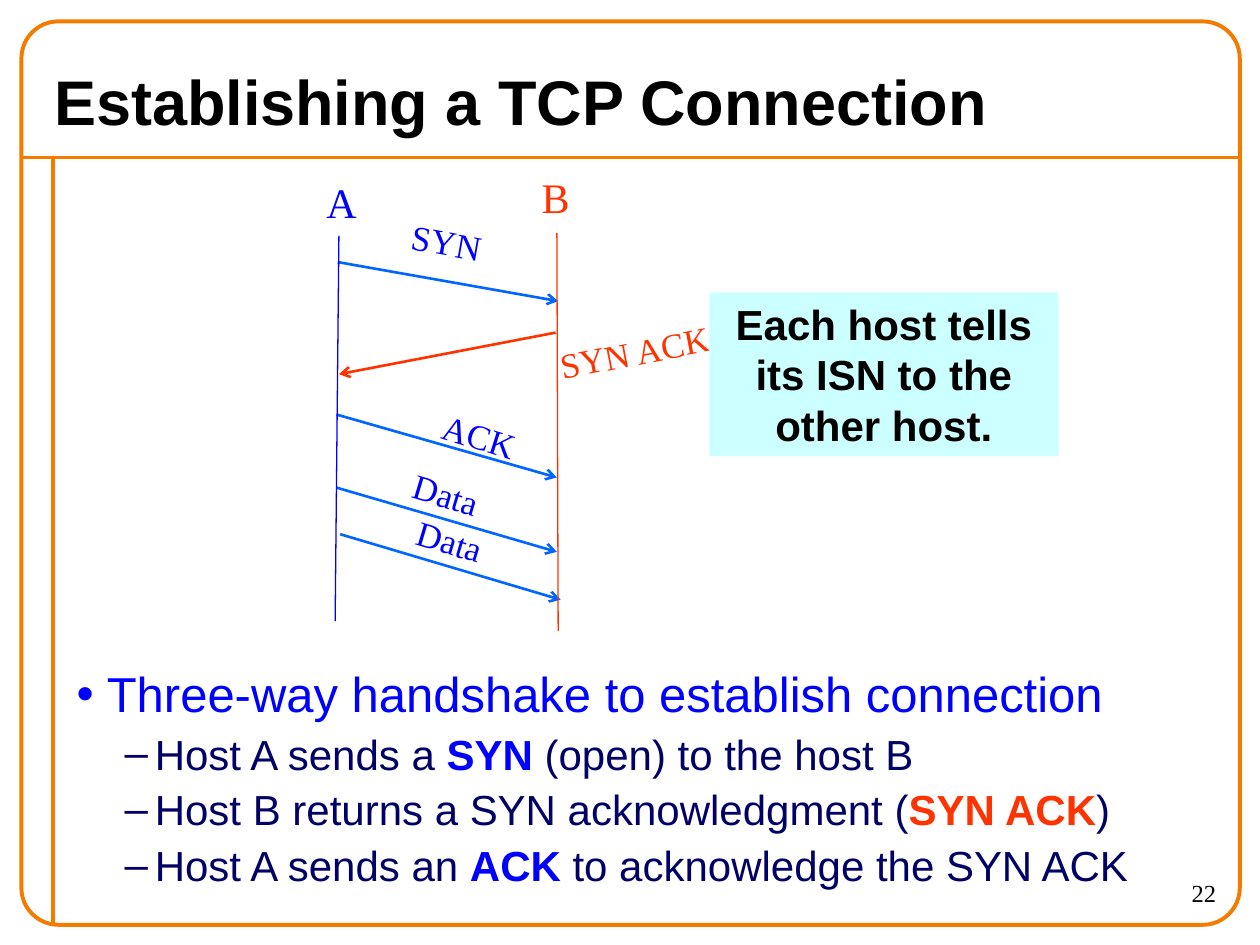
"""Build a slide on the three-way handshake that opens a TCP connection."""
from dataclasses import dataclass

from lxml.etree import SubElement
from pptx import Presentation
from pptx.dml.color import RGBColor
from pptx.enum.shapes import MSO_CONNECTOR, MSO_SHAPE
from pptx.enum.text import MSO_ANCHOR, PP_ALIGN
from pptx.oxml.ns import qn
from pptx.util import Inches, Pt

ORANGE = RGBColor(0xF4, 0x7A, 0x00)
BLUE = RGBColor(0x00, 0x00, 0xFF)
SKY = RGBColor(0x00, 0x66, 0xFF)
RED = RGBColor(0xFF, 0x33, 0x00)
NAVY = RGBColor(0x00, 0x00, 0x66)
BLACK = RGBColor(0x00, 0x00, 0x00)
PALE_CYAN = RGBColor(0xCC, 0xFF, 0xFF)
SANS = "Arial"
SERIF = "Times New Roman"


@dataclass
class Line:
    start: tuple[float, float]
    end: tuple[float, float]
    color: RGBColor
    width: float
    arrow: bool = False


@dataclass
class Label:
    text: str
    box: tuple[float, float, float, float]
    color: RGBColor
    size: int = 20
    rotation: float = 0


@dataclass
class Run:
    text: str
    color: RGBColor = NAVY
    bold: bool = False


@dataclass
class Bullet:
    runs: list[Run]
    level: int = 1


FRAME_LINES = [
    Line((0.17, 1.25), (9.83, 1.25), ORANGE, 2.25),
    Line((0.42, 1.25), (0.42, 7.33), ORANGE, 2.25),
]
DIAGRAM_LINES = [
    Line((2.68, 2.08), (4.43, 2.39), SKY, 1.5, True),
    Line((4.41, 2.64), (2.69, 2.97), RED, 1.5, True),
    Line((2.67, 3.29), (4.42, 3.79), SKY, 1.5, True),
    Line((2.67, 3.87), (4.42, 4.38), SKY, 1.5, True),
    Line((2.7, 4.24), (4.45, 4.76), SKY, 1.5, True),
    Line((4.42, 1.85), (4.43, 5.01), RED, 0.75),
    Line((2.69, 1.87), (2.66, 4.93), BLUE, 0.75),
]
LABELS = [
    Label("A", (2.49, 1.35, 0.44, 0.5), BLUE, 24),
    Label("B", (4.2, 1.31, 0.42, 0.5), RED, 24),
    Label("SYN", (3.17, 1.7, 0.75, 0.44), BLUE, rotation=10.1),
    Label("SYN ACK", (4.32, 2.57, 1.43, 0.44), RED, rotation=-10.9),
    Label("ACK", (3.41, 3.24, 0.79, 0.44), BLUE, rotation=17.4),
    Label("Data", (3.18, 3.7, 0.72, 0.44), BLUE, rotation=16.7),
    Label("Data", (3.21, 4.07, 0.72, 0.44), BLUE, rotation=16.7),
]
BULLETS = [
    Bullet([Run("Three-way handshake to establish connection", BLUE)], 0),
    Bullet([Run("Host A sends a "), Run("SYN", BLUE, True), Run(" (open) to the host B")]),
    Bullet([Run("Host B returns a SYN acknowledgment ("), Run("SYN ACK", RED, True), Run(")")]),
    Bullet([Run("Host A sends an "), Run("ACK", BLUE, True), Run(" to acknowledge the SYN ACK")]),
]


def inches(values: tuple[float, ...]) -> list[Inches]:
    return [Inches(value) for value in values]


def add_run(paragraph, content: Run, size: int, font_name: str) -> None:
    run = paragraph.add_run()
    run.text = content.text
    run.font.name = font_name
    run.font.size = Pt(size)
    run.font.bold = content.bold
    run.font.color.rgb = content.color


def write(shape, content: Run, size: int, font_name: str, alignment: PP_ALIGN) -> None:
    paragraph = shape.text_frame.paragraphs[0]
    paragraph.alignment = alignment
    add_run(paragraph, content, size, font_name)


def add_line(slide, line: Line) -> None:
    connector = slide.shapes.add_connector(
        MSO_CONNECTOR.STRAIGHT, *inches(line.start + line.end)
    )
    connector.line.color.rgb = line.color
    connector.line.width = Pt(line.width)
    if line.arrow:
        SubElement(connector.line._get_or_add_ln(), qn("a:tailEnd"), type="arrow")
    SubElement(connector._element.spPr, qn("a:effectLst"))


def add_label(slide, label: Label) -> None:
    shape = slide.shapes.add_textbox(*inches(label.box))
    shape.rotation = label.rotation
    frame = shape.text_frame
    frame.word_wrap = False
    frame.margin_left = frame.margin_right = 0
    frame.vertical_anchor = MSO_ANCHOR.MIDDLE
    write(shape, Run(label.text, label.color), label.size, SERIF, PP_ALIGN.CENTER)


def add_bullets(slide, bullets: list[Bullet]) -> None:
    frame = slide.shapes.add_textbox(*inches((0.51, 5.22, 9.25, 2.12))).text_frame
    frame.word_wrap = True
    for index, bullet in enumerate(bullets):
        paragraph = frame.add_paragraph() if index else frame.paragraphs[0]
        paragraph.level = bullet.level
        if index:
            paragraph.space_before = Pt(3)
        properties = paragraph._p.get_or_add_pPr()
        properties.set("marL", str(Inches(0.62 if bullet.level else 0.24)))
        properties.set("indent", str(Inches(-0.24)))
        bullet_color = SubElement(properties, qn("a:buClr"))
        SubElement(bullet_color, qn("a:srgbClr"), val=str(bullet.runs[0].color))
        SubElement(properties, qn("a:buFont"), typeface=SANS)
        SubElement(properties, qn("a:buChar"), char="–" if bullet.level else "•")
        for run in bullet.runs:
            add_run(paragraph, run, 24 if bullet.level else 28, SANS)


def add_frame(slide) -> None:
    for line in FRAME_LINES:
        add_line(slide, line)
    border = slide.shapes.add_shape(
        MSO_SHAPE.ROUNDED_RECTANGLE, *inches((0.17, 0.17, 9.67, 7.17))
    )
    border.adjustments[0] = 0.041
    border.shadow.inherit = False
    border.fill.background()
    border.line.color.rgb = ORANGE
    border.line.width = Pt(2.25)


def add_title(slide, text: str) -> None:
    title = slide.shapes.title
    title.left, title.top, title.width, title.height = inches((0.33, 0.42, 8.82, 0.75))
    title.text_frame.vertical_anchor = MSO_ANCHOR.MIDDLE
    write(title, Run(text, BLACK, True), 36, SANS, PP_ALIGN.LEFT)


def add_callout(slide, text: str) -> None:
    callout = slide.shapes.add_shape(MSO_SHAPE.RECTANGLE, *inches((5.63, 2.32, 2.77, 1.3)))
    callout.shadow.inherit = False
    callout.fill.solid()
    callout.fill.fore_color.rgb = PALE_CYAN
    callout.line.fill.background()
    callout.text_frame.word_wrap = True
    callout.text_frame.vertical_anchor = MSO_ANCHOR.TOP
    write(callout, Run(text, BLACK, True), 24, SANS, PP_ALIGN.CENTER)


def add_page_number(slide, number: str) -> None:
    shape = slide.shapes.add_textbox(*inches((8.75, 6.92, 1, 0.42)))
    shape.text_frame.word_wrap = True
    write(shape, Run(number, BLACK), 14, SERIF, PP_ALIGN.RIGHT)


def main() -> None:
    presentation = Presentation()
    presentation.slide_width, presentation.slide_height = inches((10, 7.5))
    slide = presentation.slides.add_slide(presentation.slide_layouts[5])
    add_frame(slide)
    add_page_number(slide, "22")
    add_title(slide, "Establishing a TCP Connection")
    add_bullets(slide, BULLETS)
    for line in DIAGRAM_LINES:
        add_line(slide, line)
    for label in LABELS:
        add_label(slide, label)
    add_callout(slide, "Each host tells its ISN to the other host.")
    presentation.save("out.pptx")


if __name__ == "__main__":
    main()
